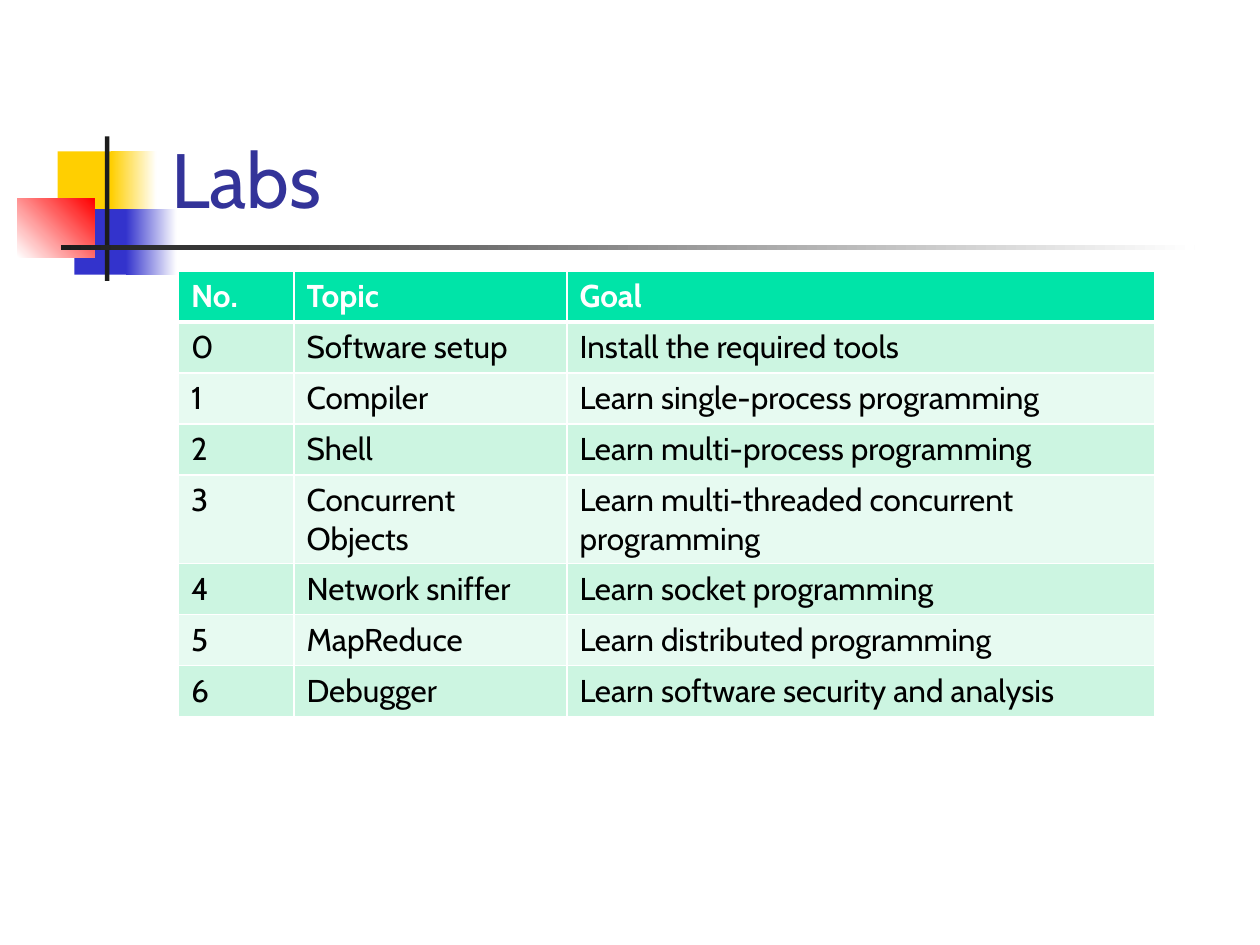
from pptx import Presentation
from pptx.dml.color import RGBColor as RGB
from pptx.enum.shapes import MSO_SHAPE as SHAPE
from pptx.enum.text import MSO_ANCHOR as ANCHOR
from pptx.oxml import parse_xml
from pptx.oxml.ns import nsdecls
from pptx.util import Pt

WHITE = RGB(0xFF, 0xFF, 0xFF)
BLACK = RGB(0x00, 0x00, 0x00)
YELLOW = RGB(0xFF, 0xCF, 0x01)
BLUE = RGB(0x33, 0x33, 0xCC)
RED = RGB(0xFF, 0x00, 0x00)
CHARCOAL = RGB(0x1C, 0x1C, 0x1C)
NAVY = RGB(0x33, 0x33, 0x99)
GREEN = RGB(0x00, 0xE4, 0xA8)
BANDS = [RGB(0xE7, 0xFA, 0xF1), RGB(0xCC, 0xF5, 0xE1)]

LABS = [
    ("No.", "Topic", "Goal"),
    ("0", "Software setup", "Install the required tools"),
    ("1", "Compiler", "Learn single-process programming"),
    ("2", "Shell", "Learn multi-process programming"),
    ("3", "Concurrent\nObjects", "Learn multi-threaded concurrent programming"),
    ("4", "Network sniffer", "Learn socket programming"),
    ("5", "MapReduce", "Learn distributed programming"),
    ("6", "Debugger", "Learn software security and analysis"),
]


class Deck:
    font = "Cabin"
    title_format = {"size": Pt(44), "bold": False}
    cell_format = {"size": Pt(18)}

    def __init__(self, width, height):
        self.prs = Presentation()
        self.prs.slide_width, self.prs.slide_height = Pt(width), Pt(height)
        self.s = self.prs.slides.add_slide(self.prs.slide_layouts[6])

    def put_text(self, tf, text, color, formats):
        tf.text = text
        for p in tf.paragraphs:
            for r in p.runs:
                for name, value in {"name": self.font, **formats}.items():
                    setattr(r.font, name, value)
                r.font.color.rgb = color

    def rect(self, box, start, end=None, angle=0):
        """Draw a rectangle, with a gradient when an end colour is given."""
        sp = self.s.shapes.add_shape(SHAPE.RECTANGLE, *map(Pt, box))
        sp.shadow.inherit = False
        sp.line.fill.background()
        if end is None:
            sp.fill.solid()
            sp.fill.fore_color.rgb = start
        else:
            sp.fill.gradient()
            sp.fill.gradient_angle = angle
            for stop, color in zip(sp.fill.gradient_stops, (start, end)):
                stop.color.rgb = color

    def title(self, box, text):
        tf = self.s.shapes.add_textbox(*map(Pt, box)).text_frame
        tf.word_wrap = True
        tf.vertical_anchor = ANCHOR.BOTTOM
        self.put_text(tf, text, NAVY, self.title_format)

    def borders(self, cell, widths):
        """Set the left, right, top and bottom borders, in that order."""
        tc_pr = cell._tc.get_or_add_tcPr()
        for i, (side, width) in enumerate(zip("LRTB", widths)):
            ln = parse_xml(f'<a:ln{side} {nsdecls("a")} w="{Pt(width)}"><a:solidFill>'
                           f'<a:srgbClr val="{WHITE}"/></a:solidFill></a:ln{side}>')
            tc_pr.insert(i, ln)

    def table(self, left, top, col_widths, row_height, rows):
        shape = self.s.shapes.add_table(
            len(rows), len(col_widths), Pt(left), Pt(top),
            Pt(sum(col_widths)), Pt(row_height * len(rows)))
        table = shape.table
        table.horz_banding = False
        for col, width in zip(table.columns, col_widths):
            col.width = Pt(width)
        for i, texts in enumerate(rows):
            header = i == 0
            table.rows[i].height = Pt(row_height)
            for j, text in enumerate(texts):
                cell = table.cell(i, j)
                cell.fill.solid()
                cell.fill.fore_color.rgb = GREEN if header else BANDS[i % 2]
                self.borders(cell, (1, 1, 3 if i == 1 else 1, 3 if header else 1))
                self.put_text(cell.text_frame, text, WHITE if header else BLACK,
                              {**self.cell_format, "bold": header})


def main():
    deck = Deck(720, 540)
    deck.rect((33, 86.5, 34.5, 37.5), YELLOW)
    deck.rect((63.5, 86.5, 26, 37.5), YELLOW, WHITE)
    deck.rect((42.5, 119.5, 33, 37.5), BLUE)
    deck.rect((72, 119.5, 29, 37.5), BLUE, WHITE)
    deck.rect((10, 113.5, 44, 33.5), WHITE, RED, 45)
    deck.rect((60, 78, 2.5, 82.5), CHARCOAL)
    deck.rect((34.75, 140.25, 648, 2.5), CHARCOAL, WHITE)
    deck.title((90.75, 16.5, 613.5, 115.25), "Labs")
    deck.table(102, 154.75, (66, 156, 336), 29.2, LABS)
    deck.prs.save("out.pptx")


if __name__ == "__main__":
    main()
